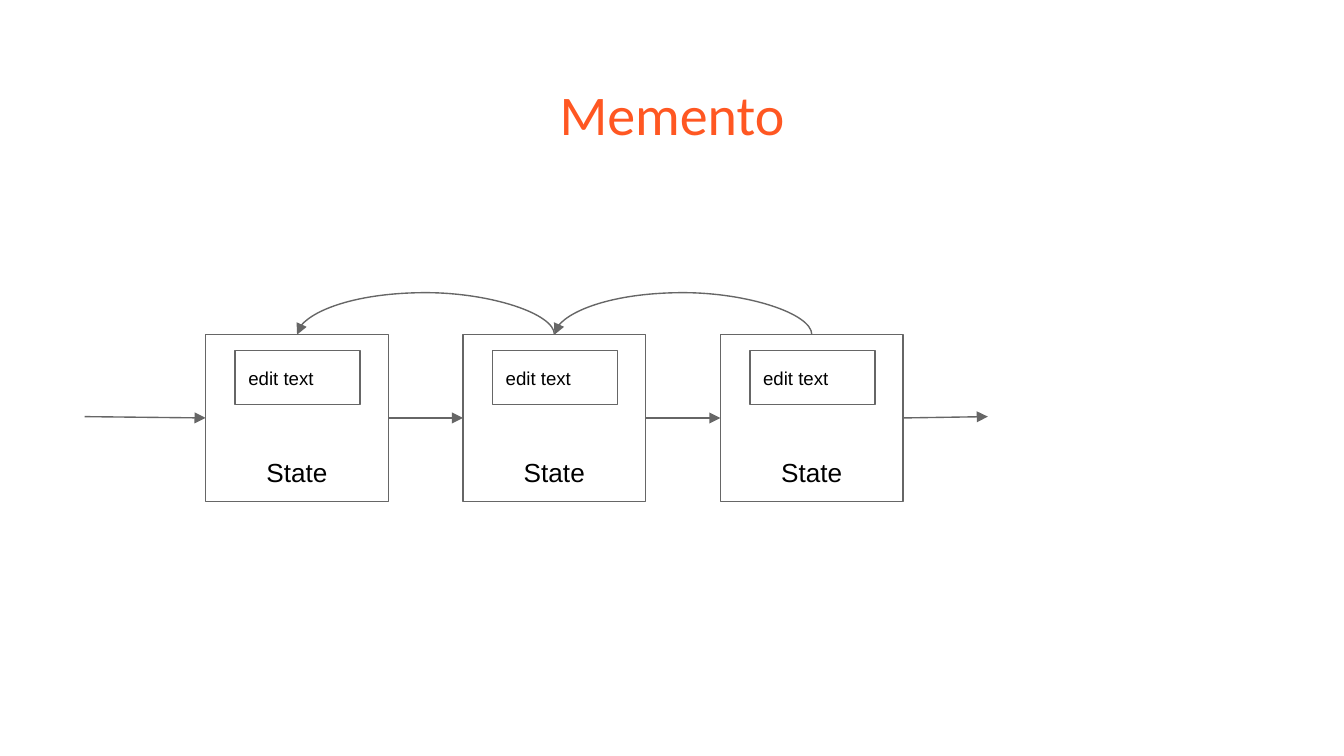
from dataclasses import dataclass

from lxml import etree
from pptx import Presentation
from pptx.dml.color import RGBColor
from pptx.enum.shapes import MSO_CONNECTOR, MSO_SHAPE
from pptx.enum.text import MSO_ANCHOR, PP_ALIGN
from pptx.oxml.ns import qn
from pptx.util import Emu, Inches, Pt

RECTANGLE = MSO_SHAPE.RECTANGLE
STRAIGHT, CURVE = MSO_CONNECTOR.STRAIGHT, MSO_CONNECTOR.CURVE
TOP, MIDDLE, BOTTOM = MSO_ANCHOR.TOP, MSO_ANCHOR.MIDDLE, MSO_ANCHOR.BOTTOM
LEFT, CENTER = PP_ALIGN.LEFT, PP_ALIGN.CENTER
TOP_SITE, LEFT_SITE, RIGHT_SITE = 0, 1, 3


@dataclass(frozen=True)
class Theme:
    title_color: RGBColor = RGBColor(0xFF, 0x57, 0x22)
    text_color: RGBColor = RGBColor(0, 0, 0)
    line_color: RGBColor = RGBColor(0x66, 0x66, 0x66)
    title_font: str = "Calibri"
    body_font: str = "Arial"
    title_size: Pt = Pt(30)
    state_size: Pt = Pt(14)
    field_size: Pt = Pt(10)
    line_width: Pt = Pt(0.75)
    margin: Inches = Inches(0.1)


THEME = Theme()
SLIDE_WIDTH = Inches(10)
SLIDE_HEIGHT = SLIDE_WIDTH * 9 // 16
STATE_COUNT = 3
FIRST_LEFT, LAST_LEFT = Inches(1.53), Inches(5.36)
COLUMN_PITCH = (LAST_LEFT - FIRST_LEFT) // (STATE_COUNT - 1)
STATE_TOP, STATE_WIDTH, STATE_HEIGHT = Inches(2.49), Inches(1.36), Inches(1.24)
FIELD_INSET, FIELD_DROP = Inches(0.22), Inches(0.12)
FIELD_WIDTH, FIELD_HEIGHT = Inches(0.93), Inches(0.4)
FLOW_START, FLOW_END, FLOW_LEVEL = Inches(0.63), Inches(7.35), Inches(3.1)
CURVE_RISE, CURVE_DEPTH = Inches(0.26), Emu(600)


def apply_format(target, values):
    for name, value in values.items():
        setattr(target, name, value)


def write_text(shape, text, font, color, anchor, alignment):
    frame = shape.text_frame
    margins = {f"margin_{side}": THEME.margin for side in ("left", "top", "right", "bottom")}
    apply_format(frame, {"word_wrap": True, "vertical_anchor": anchor, **margins})
    paragraph = frame.paragraphs[0]
    paragraph.alignment = alignment
    run = paragraph.add_run()
    run.text = text
    apply_format(run.font, font)
    run.font.color.rgb = color


def style_line(line):
    line.width = THEME.line_width
    line.fill.solid()
    line.fill.fore_color.rgb = THEME.line_color


def add_title(slide, text):
    box = slide.shapes.add_textbox(
        int(SLIDE_WIDTH * 0.034), Inches(0.49), int(SLIDE_WIDTH * 0.932), Inches(0.63))
    font = {"name": THEME.title_font, "size": THEME.title_size}
    write_text(box, text, font, THEME.title_color, TOP, CENTER)


def add_box(slide, bounds, text, size, anchor, alignment):
    box = slide.shapes.add_shape(RECTANGLE, *bounds)
    box.shadow.inherit = False
    box.fill.background()
    style_line(box.line)
    font = {"name": THEME.body_font, "size": size}
    write_text(box, text, font, THEME.text_color, anchor, alignment)
    return box


def add_state(slide, column):
    left = FIRST_LEFT + COLUMN_PITCH * column
    state = add_box(slide, (left, STATE_TOP, STATE_WIDTH, STATE_HEIGHT),
                    "State", THEME.state_size, BOTTOM, CENTER)
    add_box(slide, (left + FIELD_INSET, STATE_TOP + FIELD_DROP, FIELD_WIDTH, FIELD_HEIGHT),
            "edit text", THEME.field_size, MIDDLE, LEFT)
    return state


def add_arrow(slide, kind, start, end):
    arrow = slide.shapes.add_connector(kind, *start, *end)
    style_line(arrow.line)
    properties = arrow._element.spPr
    outline = properties.find(qn("a:ln"))
    etree.SubElement(outline, qn("a:tailEnd"), type="triangle")
    etree.SubElement(properties, qn("a:effectLst"))
    return arrow


def add_flow_arrow(slide, source, target):
    arrow = add_arrow(slide, STRAIGHT, (FLOW_START, FLOW_LEVEL), (FLOW_END, FLOW_LEVEL))
    if source is not None:
        arrow.begin_connect(source, RIGHT_SITE)
    if target is not None:
        arrow.end_connect(target, LEFT_SITE)


def add_undo_arrow(slide, source, target):
    span = source.left - target.left
    middle = (source.left + target.left + STATE_WIDTH) // 2
    arrow = add_arrow(slide, CURVE, (0, 0), (CURVE_DEPTH, span))
    arrow.begin_connect(source, TOP_SITE)
    arrow.end_connect(target, TOP_SITE)
    properties = arrow._element.spPr
    transform = properties.find(qn("a:xfrm"))
    transform.set("rot", str(90 * 60000))
    for flip in ("flipH", "flipV"):
        transform.attrib.pop(flip, None)
    apply_format(arrow, {"left": middle - CURVE_DEPTH // 2, "top": STATE_TOP - span // 2,
                         "width": CURVE_DEPTH, "height": span})
    guides = properties.find(qn("a:prstGeom")).find(qn("a:avLst"))
    bend = round(-CURVE_RISE / CURVE_DEPTH * 100000)
    etree.SubElement(guides, qn("a:gd"), name="adj1", fmla=f"val {bend}")


def main():
    presentation = Presentation()
    apply_format(presentation, {"slide_width": SLIDE_WIDTH, "slide_height": SLIDE_HEIGHT})
    slide = presentation.slides.add_slide(presentation.slide_layouts[6])
    add_title(slide, "Memento")
    states = [add_state(slide, column) for column in range(STATE_COUNT)]
    for source, target in zip([None, *states], [*states, None]):
        add_flow_arrow(slide, source, target)
    for target, source in reversed(list(zip(states, states[1:]))):
        add_undo_arrow(slide, source, target)
    presentation.save("out.pptx")


if __name__ == "__main__":
    main()
